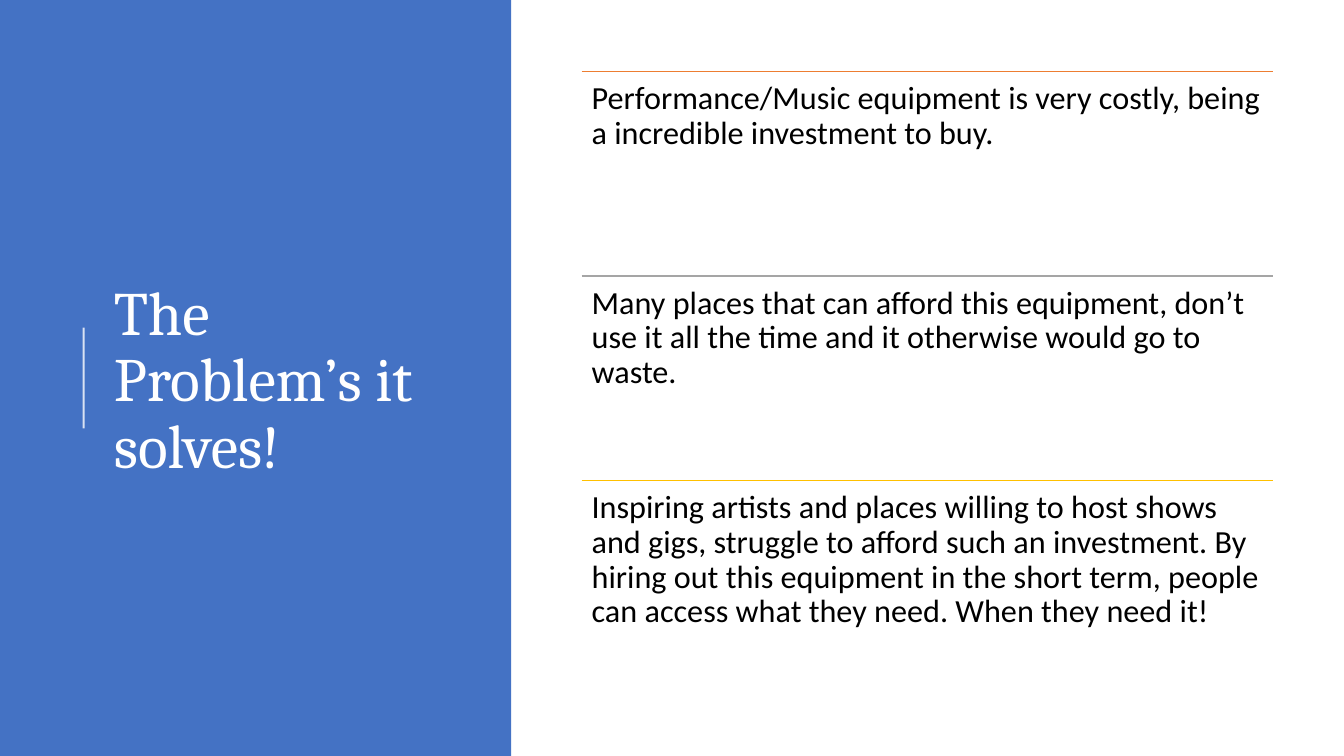
"""Build the slide on the problems that equipment hire solves."""
from dataclasses import dataclass

from lxml import etree
from pptx import Presentation
from pptx.dml.color import RGBColor
from pptx.enum import shapes, text
from pptx.oxml import ns
from pptx.util import Inches, Pt

BLUE = RGBColor(0x44, 0x72, 0xC4)
ORANGE = RGBColor(0xED, 0x7D, 0x31)
GREY = RGBColor(0xA5, 0xA5, 0xA5)
GOLD = RGBColor(0xFF, 0xC0, 0x00)
WHITE = RGBColor(0xFF, 0xFF, 0xFF)
BLACK = RGBColor(0x00, 0x00, 0x00)

LIST_LEFT, LIST_TOP = 5.77, 0.71
LIST_WIDTH, ROW_HEIGHT = 6.86, 2.03


@dataclass
class Problem:
    """A problem statement and the colour of its rule."""
    wording: str
    color: RGBColor


PROBLEMS = [
    Problem("Performance/Music equipment is very costly, being a incredible "
            "investment to buy.", ORANGE),
    Problem("Many places that can afford this equipment, don’t use it all the "
            "time and it otherwise would go to waste.", GREY),
    Problem("Inspiring artists and places willing to host shows and gigs, "
            "struggle to afford such an investment. By hiring out this "
            "equipment in the short term, people can access what they need. "
            "When they need it!", GOLD),
]


def place(shape, left: float, top: float, width: float, height: float) -> None:
    """Set the position and size of a shape in inches."""
    shape.left, shape.top = Inches(left), Inches(top)
    shape.width, shape.height = Inches(width), Inches(height)


def write(shape, wording: str, font: str, size: float, color: RGBColor,
          anchor: text.MSO_ANCHOR):
    """Write one left-aligned paragraph into a shape and return it."""
    frame = shape.text_frame
    frame.word_wrap = True
    frame.auto_size = text.MSO_AUTO_SIZE.NONE
    frame.vertical_anchor = anchor
    para = frame.paragraphs[0]
    para.alignment = text.PP_ALIGN.LEFT
    para.line_spacing = 0.9
    span = para.add_run()
    span.text = wording
    span.font.name = font
    span.font.size = Pt(size)
    span.font.color.rgb = color
    return para


def draw_line(page, start: tuple[float, float], end: tuple[float, float],
              color: RGBColor, width: float):
    """Draw a straight line without shadow and return it."""
    line = page.shapes.add_connector(
        shapes.MSO_CONNECTOR.STRAIGHT, *map(Inches, start + end))
    line.line.color.rgb = color
    line.line.width = Pt(width)
    etree.SubElement(line._element.spPr, ns.qn("a:effectLst"))
    return line


def draw_heading(page) -> None:
    """Draw the blue panel, the title and the accent line."""
    panel = page.shapes.add_shape(
        shapes.MSO_SHAPE.RECTANGLE, 0, 0, Inches(5.07), Inches(7.5))
    panel.shadow.inherit = False
    panel.fill.solid()
    panel.fill.fore_color.rgb = BLUE
    panel.line.fill.background()
    title = page.shapes.title
    title._element.addprevious(panel._element)
    place(title, 1.03, 0.78, 3.69, 6.02)
    write(title, "The Problem’s it solves!", "Cambria", 44, WHITE,
          text.MSO_ANCHOR.MIDDLE)
    accent = draw_line(page, (0.83, 4.25), (0.83, 3.25), WHITE, 1.5)
    tint = accent._element.spPr.find(".//" + ns.qn("a:srgbClr"))
    etree.SubElement(tint, ns.qn("a:alpha"), val="80000")


def draw_problem(page, problem: Problem, top: float) -> None:
    """Draw a coloured rule with the problem statement below it."""
    draw_line(page, (LIST_LEFT, top), (LIST_LEFT + LIST_WIDTH, top),
              problem.color, 1)
    box = page.shapes.add_textbox(0, 0, 0, 0)
    place(box, LIST_LEFT, top, LIST_WIDTH, ROW_HEIGHT)
    frame = box.text_frame
    frame.margin_left = frame.margin_right = Inches(0.1)
    frame.margin_top = frame.margin_bottom = Inches(0.1)
    para = write(box, problem.wording, "Calibri", 23, BLACK,
                 text.MSO_ANCHOR.TOP)
    para.space_after = Pt(8)


def main() -> None:
    """Build and save the deck."""
    deck = Presentation()
    deck.slide_width, deck.slide_height = Inches(13.33), Inches(7.5)
    page = deck.slides.add_slide(deck.slide_layouts.get_by_name("Title Only"))
    draw_heading(page)
    for index, problem in enumerate(PROBLEMS):
        draw_problem(page, problem, LIST_TOP + index * ROW_HEIGHT)
    deck.save("out.pptx")


if __name__ == "__main__":
    main()
